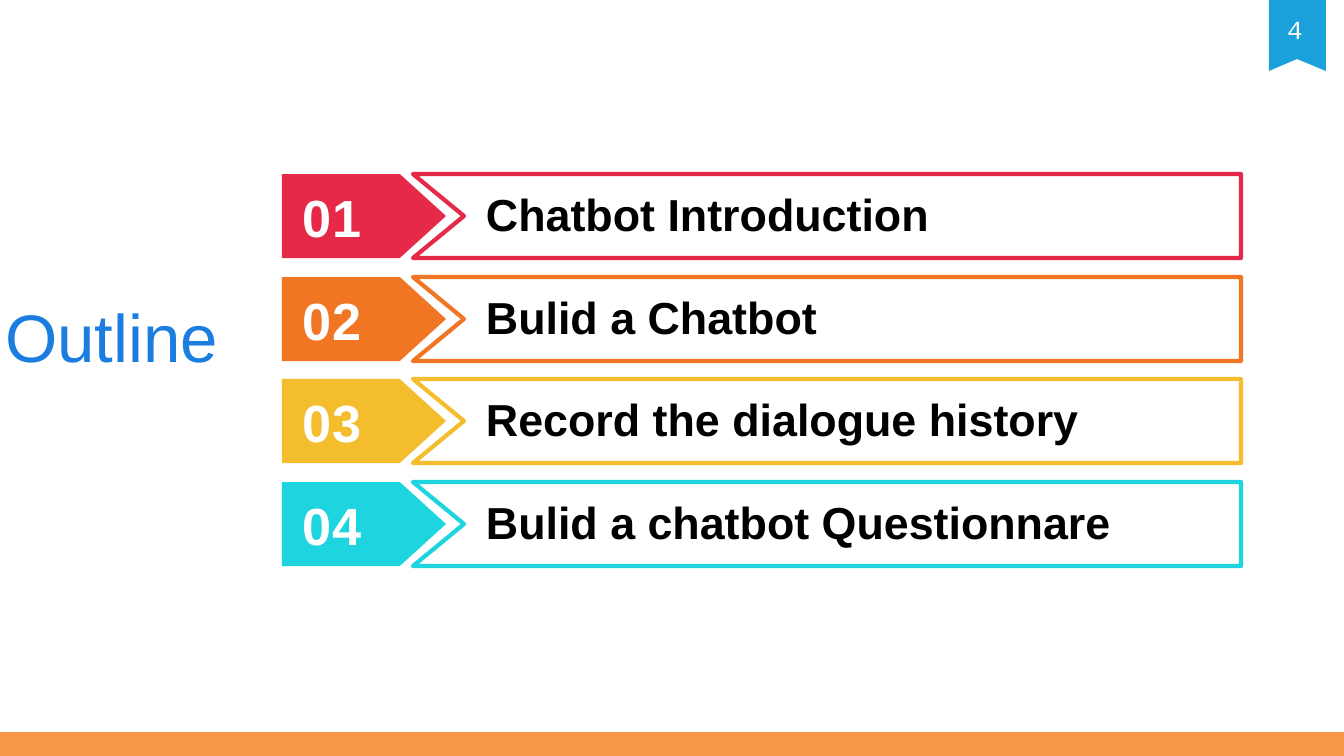
from pptx import Presentation
from pptx.dml.color import RGBColor
from pptx.enum.shapes import MSO_SHAPE
from pptx.enum.text import MSO_ANCHOR, MSO_AUTO_SIZE, PP_ALIGN
from pptx.util import Pt

PX = 914400 / 100.8
RECT, ARROW = MSO_SHAPE.RECTANGLE, MSO_SHAPE.PENTAGON
TOP, MIDDLE = MSO_ANCHOR.TOP, MSO_ANCHOR.MIDDLE
LEFT, CENTER = PP_ALIGN.LEFT, PP_ALIGN.CENTER
NO_FIT = MSO_AUTO_SIZE.NONE
TITLE_ONLY = 5

COLORS = {
    "white": "FFFFFF", "black": "000000", "title": "1C7DE1",
    "ribbon": "1AA0DA", "page": "F8F8F8", "bar": "F79646",
    "red": "E62949", "orange": "F07624", "yellow": "F4BD2D", "cyan": "1ED4DE",
}
TOPICS = [
    ("Chatbot Introduction", "red"),
    ("Bulid a Chatbot", "orange"),
    ("Record the dialogue history", "yellow"),
    ("Bulid a chatbot Questionnare", "cyan"),
]
ROW_H = 84


def emu(px):
    """Turn px into EMU."""
    return round(px * PX)


def rgb(name):
    """Look up a named colour."""
    return RGBColor.from_string(COLORS[name])


def paint(shape, fill, line=None, width=1):
    """Set fill and outline, and drop the shadow."""
    shape.shadow.inherit = False
    shape.fill.solid()
    shape.fill.fore_color.rgb = rgb(fill)
    if line:
        shape.line.color.rgb = rgb(line)
        shape.line.width = Pt(width)
    else:
        shape.line.fill.background()


def write(shape, text, size, color, font="Arial", bold=False, align=LEFT,
          anchor=TOP, inset=5):
    """Put formatted text into a shape."""
    frame = shape.text_frame
    frame.word_wrap = True
    frame.auto_size = NO_FIT
    frame.vertical_anchor = anchor
    frame.margin_left = frame.margin_right = emu(10)
    frame.margin_top = frame.margin_bottom = emu(inset)
    para = frame.paragraphs[0]
    para.alignment = align
    run = para.add_run()
    run.text = text
    run.font.name = font
    run.font.size = Pt(size)
    run.font.bold = bold
    run.font.color.rgb = rgb(color)


def label(slide, box, text, size, color, **style):
    """Add a text box."""
    write(slide.shapes.add_textbox(*map(emu, box)), text, size, color, **style)


def block(slide, kind, box, fill, **line):
    """Add a preset shape."""
    shape = slide.shapes.add_shape(kind, *map(emu, box))
    paint(shape, fill, **line)
    return shape


def outline(slide, points, fill, **line):
    """Add a closed freeform."""
    build = slide.shapes.build_freeform(*points[0], scale=PX)
    build.add_line_segments(points[1:], close=True)
    paint(build.convert_to_shape(), fill, **line)


def topic(slide, index, text, color):
    """Add one numbered outline row."""
    top = (349 + 205 * index) // 2
    end = top + ROW_H
    arrow = block(slide, ARROW, (282, top, 164, ROW_H), color)
    arrow.adjustments[0] = 0.55
    frame = [(413, top), (1241, top), (1241, end), (413, end),
             (464, top + ROW_H // 2)]
    outline(slide, frame, "white", line=color, width=3)
    label(slide, (293, top + 11, 89, 64), f"{index + 1:02}", 37.3, "white",
          bold=True, anchor=MIDDLE, inset=0)
    label(slide, (476, top + 8, 772, 64), text, 32, "black", bold=True)


def main():
    """Build the outline slide."""
    deck = Presentation()
    deck.slide_width, deck.slide_height = emu(1344), emu(756)
    slide = deck.slides.add_slide(deck.slide_layouts[TITLE_ONLY])

    ribbon = [(1326, 71), (1297, 59), (1269, 71), (1269, 0), (1326, 0)]
    outline(slide, ribbon, "ribbon")
    label(slide, (1262, 8, 66, 42), "4", 18.7, "page", font="Courier New",
          align=CENTER)
    block(slide, RECT, (0, 733, 1344, 23), "bar", line="bar")

    title = slide.shapes.title
    title.left, title.top, title.width, title.height = map(
        emu, (-5, 271, 294, 130))
    write(title, "Outline", 48, "title", anchor=MIDDLE)

    for index, (text, color) in enumerate(TOPICS):
        topic(slide, index, text, color)
    deck.save("out.pptx")


if __name__ == "__main__":
    main()
